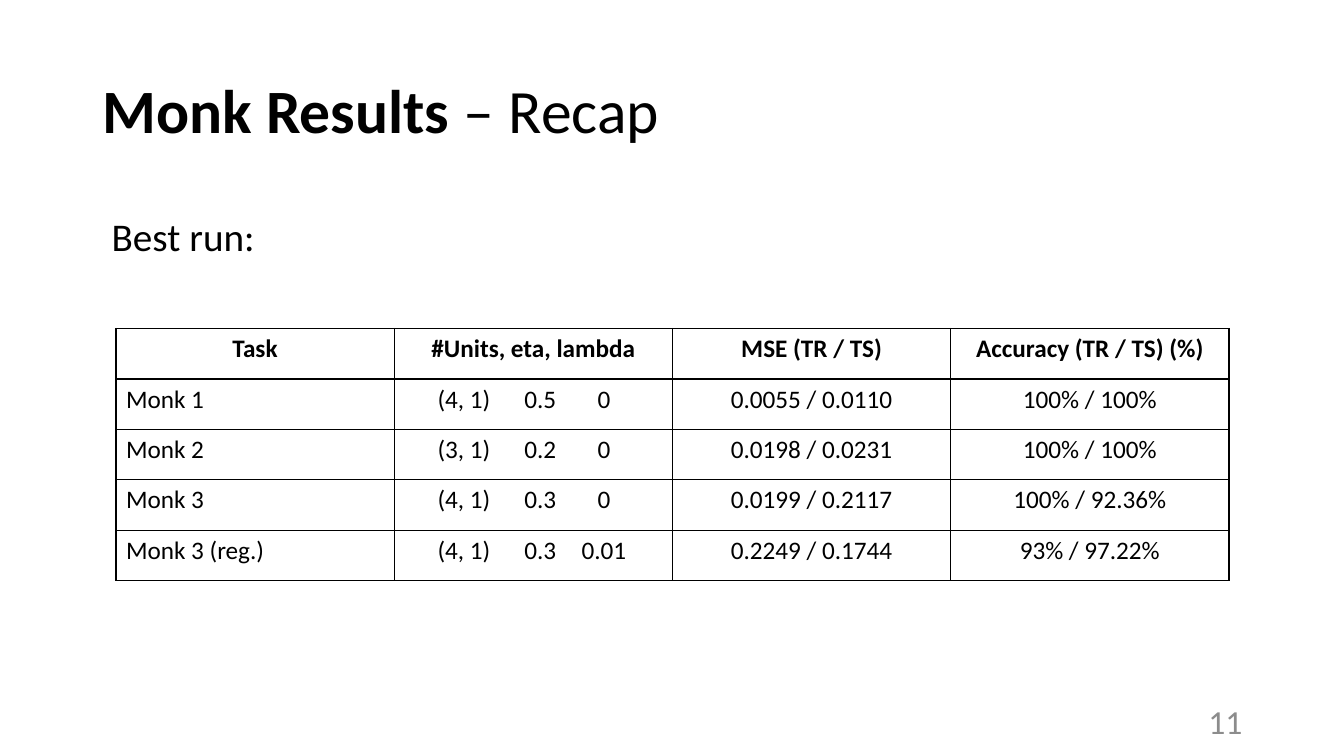
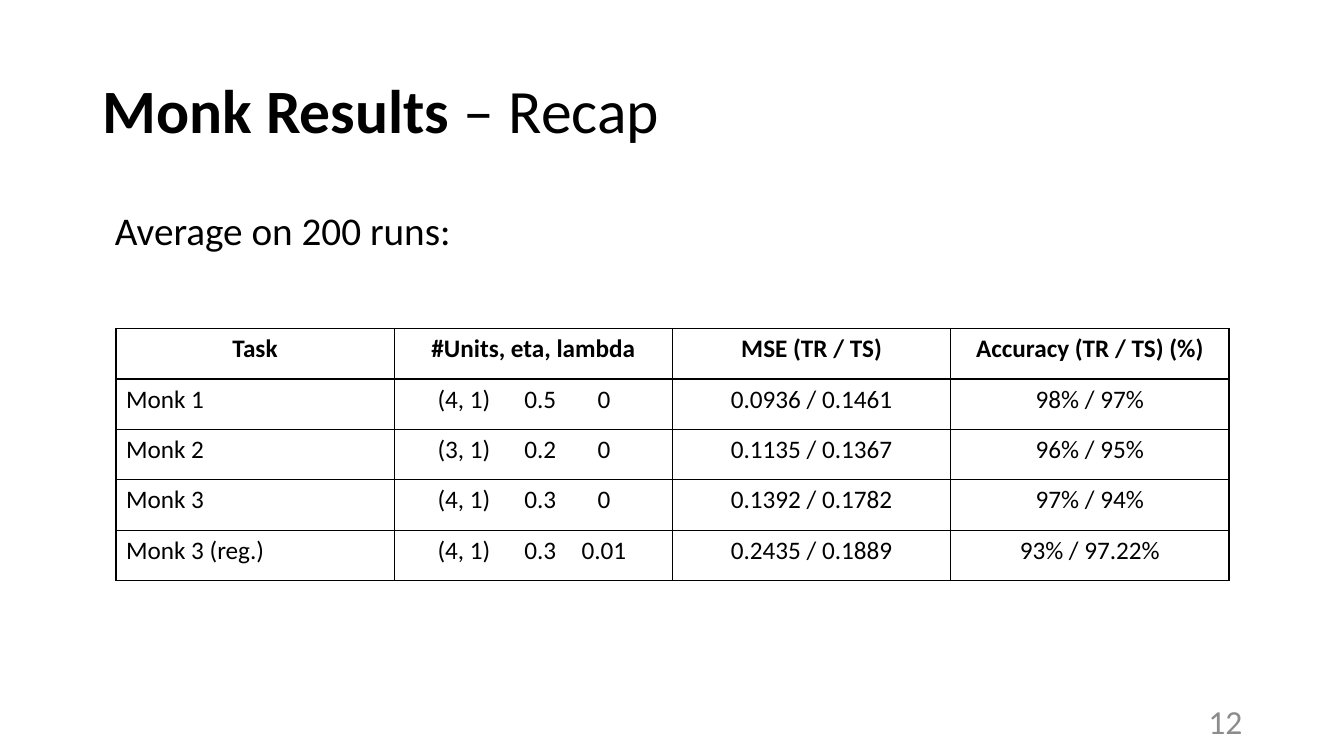
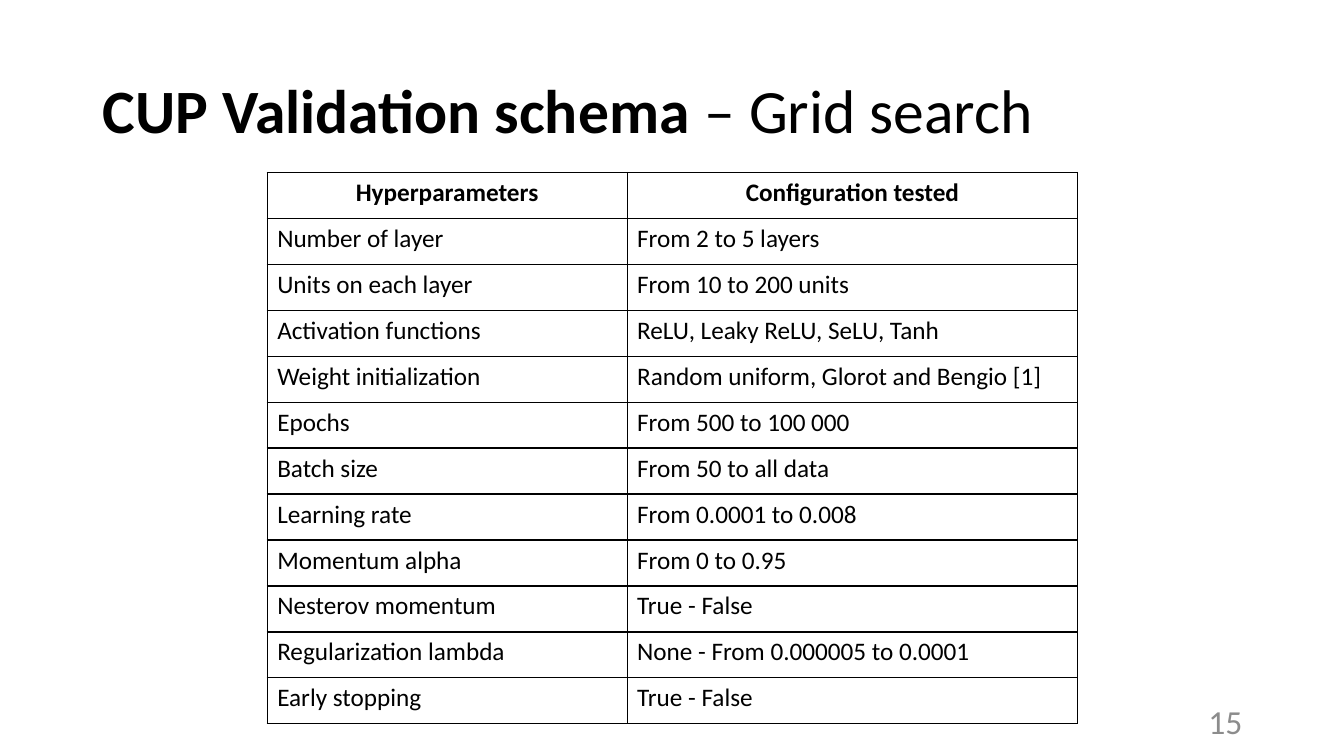
import pptx
import pptx.dml.color
import pptx.enum.text
import pptx.oxml.ns
import pptx.util
from lxml import etree

Inches = pptx.util.Inches
Pt = pptx.util.Pt
ALIGN = pptx.enum.text.PP_ALIGN
ANCHOR = pptx.enum.text.MSO_ANCHOR
qn = pptx.oxml.ns.qn

BLACK = pptx.dml.color.RGBColor(0x00, 0x00, 0x00)
GREY = pptx.dml.color.RGBColor(0x8C, 0x8C, 0x8C)
FONT = "Calibri"
EN_SPACE = " "

TITLE = {"size": Pt(44), "color": BLACK}
LABEL = {"size": Pt(28), "color": BLACK}
NUMBER = {"size": Pt(24), "color": GREY}
CELL = {"size": Pt(18), "color": BLACK}

TITLE_BOX = (0.92, 0.4, 11.5, 1.45)
NUMBER_BOX = (9.42, 6.95, 3, 0.4)
SETTING_INDENT = 0.43
SETTING_TABS = (("l", 0.86), ("ctr", 1.65))

MONK_HEADER = ("Task", "#Units, eta, lambda", "MSE (TR / TS)", "Accuracy (TR / TS) (%)")
MONK_SETTINGS = (
    ("Monk 1", "(4, 1)\t0.5\t0"),
    ("Monk 2", "(3, 1)\t0.2\t0"),
    ("Monk 3", "(4, 1)\t0.3\t0"),
    ("Monk 3 (reg.)", "(4, 1)\t0.3\t0.01"),
)
BEST_SCORES = (
    ("0.0055~/~0.0110", "100%~/~100%"),
    ("0.0198~/~0.0231", "100%~/~100%"),
    ("0.0199~/~0.2117", "100%~/~92.36%"),
    ("0.2249~/~0.1744", "93%~/~97.22%"),
)
AVERAGE_SCORES = (
    ("0.0936~/~0.1461", "98%~/~97%"),
    ("0.1135~/~0.1367", "96%~/~95%"),
    ("0.1392~/~0.1782", "97%~/~94%"),
    ("0.2435~/~0.1889", "93%~/~97.22%"),
)
GRID_SEARCH = (
    ("Hyperparameters", "Configuration tested"),
    ("Number of layer", "From~2~to~5~layers"),
    ("Units on each layer", "From~10~to~200~units"),
    ("Activation functions", "ReLU, Leaky ReLU, SeLU, Tanh"),
    ("Weight initialization", "Random uniform,~Glorot and Bengio [1]"),
    ("Epochs", "From~500~to~100 000"),
    ("Batch size", "From~50~to~all data"),
    ("Learning rate", "From~0.0001~to~0.008"),
    ("Momentum alpha", "From~0~to~0.95"),
    ("Nesterov momentum", "True~-~False"),
    ("Regularization lambda", "None~-~From~0.000005~to~0.0001"),
    ("Early stopping", "True~-~False"),
)


def monk_rows(scores):
    return [MONK_HEADER] + [a + b for a, b in zip(MONK_SETTINGS, scores)]


MONK_TABLE = {"at": (1.15, 3.26), "widths": (2.76,) * 4, "row": 0.5, "centred": (2, 3)}
GRID_TABLE = {"at": (2.65, 1.71), "widths": (3.57, 4.47), "row": 0.456, "centred": ()}

SLIDES = (
    {"title": ("Monk Results ", "– Recap"), "number": "11",
     "label": ("Best run:", (1.01, 2.06, 4.14, 0.57)),
     "rows": monk_rows(BEST_SCORES), "table": MONK_TABLE},
    {"title": ("Monk Results ", "– Recap"), "number": "12",
     "label": ("Average on 200 runs:", (1.04, 2, 4.79, 0.57)),
     "rows": monk_rows(AVERAGE_SCORES), "table": MONK_TABLE},
    {"title": ("CUP Validation schema ", "– Grid search"), "number": "15",
     "label": None, "rows": GRID_SEARCH, "table": GRID_TABLE},
)


def add_run(p, text, style, bold=False):
    r = p.add_run()
    r.text = text
    for name, value in {"name": FONT, "size": style["size"], "bold": bold}.items():
        setattr(r.font, name, value)
    r.font.color.rgb = style["color"]


def add_text(s, box, runs, style, align=ALIGN.LEFT, anchor=ANCHOR.TOP, spacing=1.0):
    tf = s.shapes.add_textbox(*map(Inches, box)).text_frame
    tf.word_wrap = True
    tf.vertical_anchor = anchor
    p = tf.paragraphs[0]
    p.alignment = align
    p.line_spacing = spacing
    for text, bold in runs:
        add_run(p, text, style, bold)


def add_borders(cell):
    tc_pr = cell._tc.get_or_add_tcPr()
    for side in ("a:lnL", "a:lnR", "a:lnT", "a:lnB"):
        ln = etree.SubElement(tc_pr, qn(side), w=str(Pt(1)))
        fill = etree.SubElement(ln, qn("a:solidFill"))
        etree.SubElement(fill, qn("a:srgbClr"), val=str(BLACK))


def add_tabs(p):
    tabs = etree.SubElement(p._p.get_or_add_pPr(), qn("a:tabLst"))
    for align, pos in SETTING_TABS:
        etree.SubElement(tabs, qn("a:tab"), pos=str(Inches(pos)), algn=align)


def add_table(s, rows, layout):
    widths, height = layout["widths"], layout["row"]
    size = (sum(widths), height * len(rows))
    table = s.shapes.add_table(len(rows), len(widths), *map(Inches, layout["at"] + size)).table
    table.first_row = table.horz_banding = False
    for column, width in zip(table.columns, widths):
        column.width = Inches(width)
    for i, row in enumerate(rows):
        table.rows[i].height = Inches(height)
        for j, text in enumerate(row):
            cell = table.cell(i, j)
            add_borders(cell)
            cell.fill.background()
            p = cell.text_frame.paragraphs[0]
            centred = i == 0 or j in layout["centred"]
            p.alignment = ALIGN.CENTER if centred else ALIGN.LEFT
            if "\t" in text:
                cell.margin_left = Inches(SETTING_INDENT)
                add_tabs(p)
            add_run(p, text.replace("~", EN_SPACE), CELL, bold=i == 0)


def main():
    prs = pptx.Presentation()
    prs.slide_width, prs.slide_height = Inches(13.33), Inches(7.5)
    for content in SLIDES:
        s = prs.slides.add_slide(prs.slide_layouts[6])
        add_text(s, TITLE_BOX, zip(content["title"], (True, False)), TITLE,
                 anchor=ANCHOR.MIDDLE, spacing=0.9)
        add_table(s, content["rows"], content["table"])
        add_text(s, NUMBER_BOX, [(content["number"], False)], NUMBER,
                 align=ALIGN.RIGHT, anchor=ANCHOR.MIDDLE)
        if content["label"]:
            text, box = content["label"]
            add_text(s, box, [(text, False)], LABEL)
    prs.save("out.pptx")


if __name__ == "__main__":
    main()
